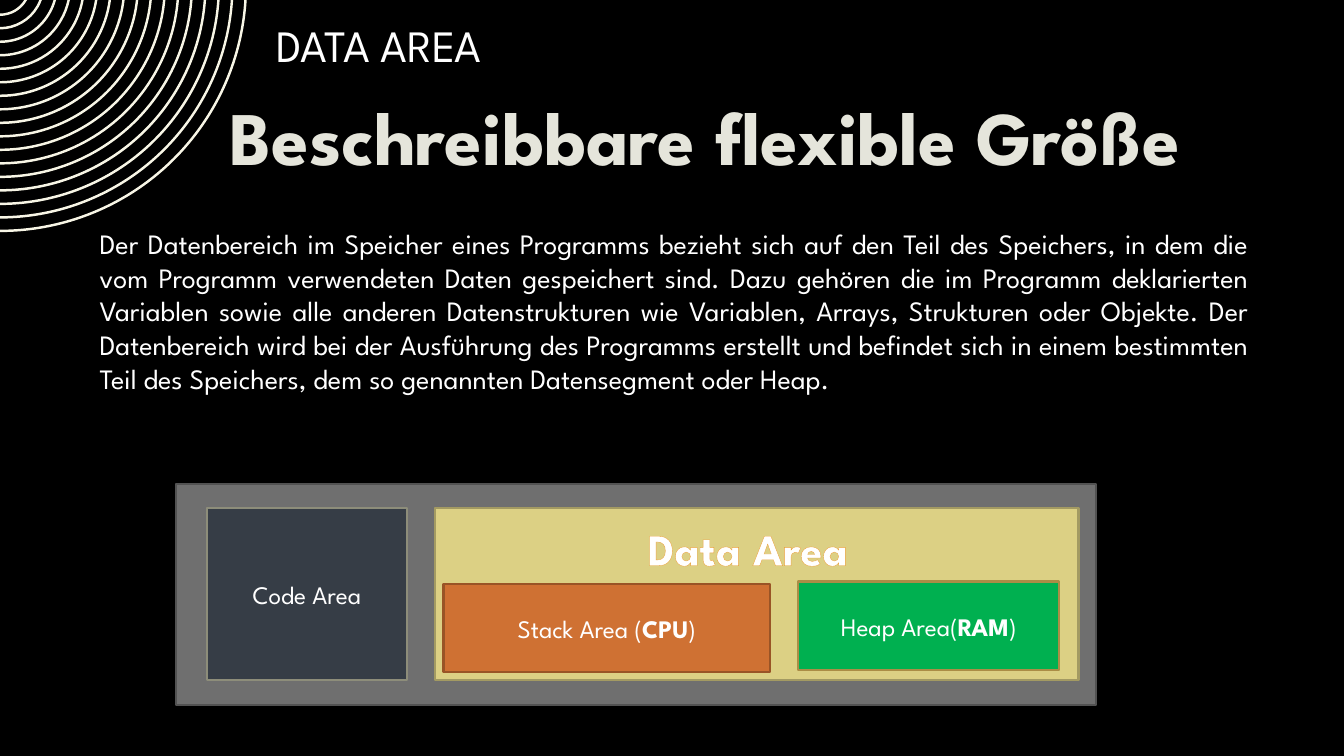
"""Build the slide on the data area of a program's memory."""

from dataclasses import dataclass
from math import asin, cos, degrees

from lxml.etree import SubElement
from pptx import Presentation
from pptx.dml.color import RGBColor
from pptx.enum.shapes import MSO_SHAPE
from pptx.enum.text import MSO_ANCHOR, PP_ALIGN
from pptx.oxml.ns import qn
from pptx.shapes.shapetree import GroupShapes, SlideShapes
from pptx.slide import Slide
from pptx.text.text import TextFrame, _Run
from pptx.util import Pt


@dataclass(frozen=True)
class Theme:
    font: str = "League Spartan"
    background: str = "000000"
    text: str = "FFFFFF"
    title_shade: str = "A6A6A6"
    headline: str = "E5E5DB"
    headline_edge: str = "BFBFA5"
    label_edge: str = "E9A039"
    rings: str = "F8F6E6"
    title_size: float = 32
    headline_size: float = 54
    body_size: float = 20
    area_size: float = 18
    border: float = 1.5


THEME = Theme()


@dataclass(frozen=True)
class Box:
    left: float
    top: float
    width: float
    height: float

    def lengths(self) -> tuple[Pt, Pt, Pt, Pt]:
        return Pt(self.left), Pt(self.top), Pt(self.width), Pt(self.height)


@dataclass(frozen=True)
class Span:
    text: str
    size: float
    color: str = THEME.text
    bold: bool = False
    edge: str = ""
    edge_width: float = 0


@dataclass(frozen=True)
class Area:
    box: Box
    fill: str
    border: str
    spans: tuple[Span, ...] = ()


def area_spans(before: str, strong: str = "", after: str = "") -> tuple[Span, ...]:
    parts = ((before, False), (strong, True), (after, False))
    return tuple(Span(text, THEME.area_size, bold=bold) for text, bold in parts if text)


BODY = (
    "Der Datenbereich im Speicher eines Programms bezieht sich auf den Teil des Speichers, "
    "in dem die vom Programm verwendeten Daten gespeichert sind. Dazu gehören die im Programm "
    "deklarierten Variablen sowie alle anderen Datenstrukturen wie Variablen, Arrays, Strukturen "
    "oder Objekte. Der Datenbereich wird bei der Ausführung des Programms erstellt und befindet "
    "sich in einem bestimmten Teil des Speichers, dem so genannten Datensegment oder Heap."
)
AREAS = (
    Area(Box(126, 345.6, 656.6, 157.7), "6F6F6F", "525252"),
    Area(Box(147.6, 362.9, 143.3, 123.1), "363D46", "8D8D7A", area_spans("Code Area")),
    Area(Box(311, 362.9, 459.4, 123.1), "DCD084", "A39A62"),
    Area(Box(570.2, 415.4, 186.5, 63.4), "00B050", "AB8D46", area_spans("Heap Area(", "RAM", ")")),
    Area(Box(316.8, 416.9, 233.3, 63.4), "CF7133", "995426", area_spans("Stack Area (", "CPU", ")")),
)


def color_of(value: str) -> RGBColor:
    return RGBColor.from_string(value)


def add_edge(run: _Run, color: str, width: float) -> None:
    properties = run.font._element
    line = SubElement(properties, qn("a:ln"), w=str(Pt(width)))
    fill = SubElement(line, qn("a:solidFill"))
    SubElement(fill, qn("a:srgbClr"), val=color)
    properties.insert(0, line)


def write(frame: TextFrame, spans: tuple[Span, ...], align: PP_ALIGN,
          anchor: MSO_ANCHOR = MSO_ANCHOR.TOP, wrap: bool = True) -> None:
    frame.word_wrap = wrap
    frame.vertical_anchor = anchor
    para = frame.paragraphs[0]
    para.alignment = align
    for span in spans:
        run = para.add_run()
        run.text = span.text
        run.font.name = THEME.font
        run.font.size = Pt(span.size)
        run.font.bold = span.bold
        run.font.color.rgb = color_of(span.color)
        if span.edge:
            add_edge(run, span.edge, span.edge_width)


def add_text(shapes: SlideShapes | GroupShapes, box: Box, span: Span,
             align: PP_ALIGN, wrap: bool = True) -> None:
    write(shapes.add_textbox(*box.lengths()).text_frame, (span,), align, wrap=wrap)


def add_rings(shapes: SlideShapes) -> None:
    center_y, largest, gap, thickness, count = -10.8, 176.6, 9.65, 1.75, 17
    right, bottom = Pt(largest * cos(asin(-center_y / largest))), Pt(center_y + largest)
    builder = shapes.build_freeform(0, 0)
    builder.add_line_segments([(right, 0), (0, bottom)], close=True)
    rings = builder.convert_to_shape()
    rings.shadow.inherit = False
    rings.fill.solid()
    rings.fill.fore_color.rgb = color_of(THEME.rings)
    rings.line.fill.background()
    contour = rings._element.find(".//" + qn("a:path"))
    for child in list(contour):
        contour.remove(child)

    def add_point(tag: str, left: float, top: float) -> None:
        SubElement(SubElement(contour, qn(tag)), qn("a:pt"), x=str(Pt(left)), y=str(Pt(top)))

    def add_arc(radius: float, start: float, sweep: float) -> None:
        SubElement(contour, qn("a:arcTo"), wR=str(Pt(radius)), hR=str(Pt(radius)),
                   stAng=str(round(start * 60000)), swAng=str(round(sweep * 60000)))

    for index in range(count):
        outer = largest - index * gap
        inner = outer - thickness
        outer_start, inner_start = (asin(-center_y / radius) for radius in (outer, inner))
        add_point("a:moveTo", outer * cos(outer_start), 0)
        add_arc(outer, degrees(outer_start), 90 - degrees(outer_start))
        add_point("a:lnTo", 0, center_y + inner)
        add_arc(inner, 90, degrees(inner_start) - 90)
        SubElement(contour, qn("a:close"))


def add_title(page: Slide) -> None:
    title = page.shapes.title
    title.left, title.top, title.width, title.height = Box(190.1, 1.4, 754.6, 60.5).lengths()
    write(title.text_frame, (Span("DATA AREA", THEME.title_size),), PP_ALIGN.LEFT, MSO_ANCHOR.MIDDLE)
    fill = title.text_frame.paragraphs[0].runs[0].font.fill
    fill.gradient()
    fill.gradient_angle = 267
    for stop, color in zip(fill.gradient_stops, (THEME.text, THEME.title_shade)):
        stop.color.rgb = color_of(color)


def add_area(shapes: GroupShapes, area: Area) -> None:
    shape = shapes.add_shape(MSO_SHAPE.RECTANGLE, *area.box.lengths())
    shape.shadow.inherit = False
    shape.fill.solid()
    shape.fill.fore_color.rgb = color_of(area.fill)
    shape.line.color.rgb = color_of(area.border)
    shape.line.width = Pt(THEME.border)
    write(shape.text_frame, area.spans, PP_ALIGN.CENTER, MSO_ANCHOR.MIDDLE)


def main() -> None:
    deck = Presentation()
    deck.slide_width, deck.slide_height = Pt(960), Pt(540)
    page = deck.slides.add_slide(deck.slide_layouts[5])
    page.background.fill.solid()
    page.background.fill.fore_color.rgb = color_of(THEME.background)
    add_rings(page.shapes)
    add_title(page)
    headline = Span("Beschreibbare flexible Größe", THEME.headline_size, THEME.headline,
                    True, THEME.headline_edge, 1.75)
    add_text(page.shapes, Box(157, 60.5, 796.3, 72.7), headline, PP_ALIGN.LEFT)
    add_text(page.shapes, Box(64.1, 158.4, 835.2, 152.6),
             Span(BODY, THEME.body_size), PP_ALIGN.JUSTIFY)
    memory = page.shapes.add_group_shape().shapes
    for area in AREAS:
        add_area(memory, area)
    label = Span("Data Area", THEME.title_size, THEME.text, True, THEME.label_edge, 0.8)
    add_text(memory, Box(454.3, 368.6, 159.8, 46.1), label, PP_ALIGN.CENTER, wrap=False)
    deck.save("out.pptx")


if __name__ == "__main__":
    main()
